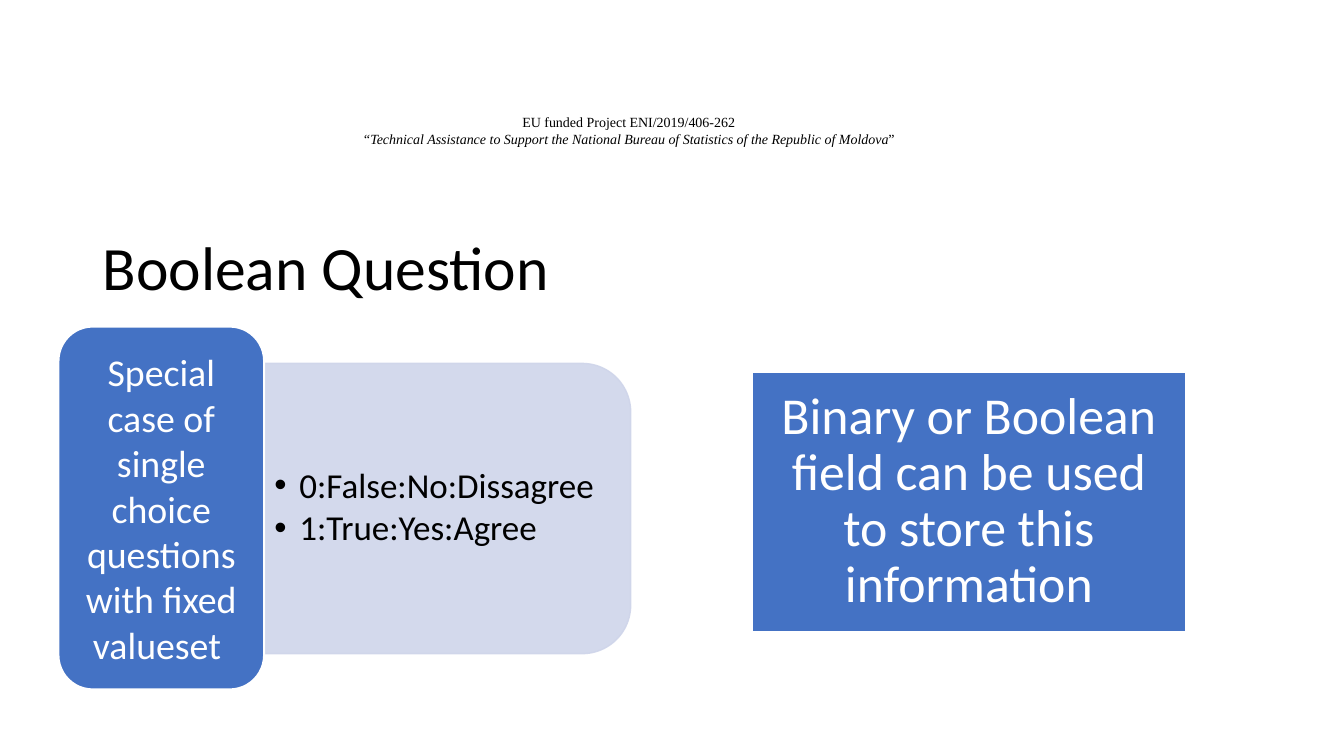
from dataclasses import dataclass

from lxml import etree
from pptx import Presentation
from pptx.dml.color import RGBColor
from pptx.enum.shapes import MSO_SHAPE
from pptx.enum.text import MSO_ANCHOR, MSO_AUTO_SIZE, PP_ALIGN
from pptx.oxml.ns import qn
from pptx.util import Inches, Pt

LEFT, CENTER = PP_ALIGN.LEFT, PP_ALIGN.CENTER
TOP, MIDDLE, BOTTOM = MSO_ANCHOR.TOP, MSO_ANCHOR.MIDDLE, MSO_ANCHOR.BOTTOM
NO_AUTOFIT = MSO_AUTO_SIZE.NONE
ROUNDED, RECTANGLE = MSO_SHAPE.ROUNDED_RECTANGLE, MSO_SHAPE.RECTANGLE
TOP_ROUNDED = MSO_SHAPE.ROUND_2_SAME_RECTANGLE


@dataclass(frozen=True)
class Theme:
    black: RGBColor = RGBColor(0, 0, 0)
    white: RGBColor = RGBColor(255, 255, 255)
    accent: RGBColor = RGBColor(0x44, 0x72, 0xC4)
    pale: RGBColor = RGBColor(0xCF, 0xD5, 0xEA)
    pale_opacity: int = 90
    font: str = "Calibri"
    header_font: str = "Times New Roman"
    header_size: int = 10
    title_size: int = 44
    list_size: int = 25
    case_size: int = 27
    storage_size: int = 37


@dataclass(frozen=True)
class Box:
    left: float
    top: float
    width: float
    height: float

    def lengths(self):
        return [Inches(v) for v in (self.left, self.top, self.width, self.height)]


@dataclass(frozen=True)
class Card:
    text: str
    box: Box
    preset: int
    size: int
    line_width: float
    margins: tuple
    spacing: float


THEME = Theme()
HEADER_BOX = Box(2.9, 1.08, 6.67, 0.44)
TITLE_BOX = Box(0.92, 1.61, 11.5, 1.45)
PANEL_BOX = Box(3, 3.23, 2.88, 3.63)
VALUES_BOX = Box(2.62, 3.74, 3.49, 2.6)
HEADER = [
    [("EU funded Project ENI/2019/406-262", False)],
    [
        ("“Technical Assistance to Support the National Bureau of Statistics "
         "of the Republic of Moldova", True),
        ("”", False),
    ],
]
VALUES = ["0:False:No:Dissagree", "1:True:Yes:Agree"]
CARDS = [
    Card("Special case of single choice questions with fixed valueset ",
         Box(0.58, 3.24, 2.04, 3.6), ROUNDED, THEME.case_size, 1.5, (0.11, 0.06), 1),
    Card("Binary or Boolean field can be used to store this information",
         Box(7.46, 3.69, 4.3, 2.58), RECTANGLE, THEME.storage_size, 1, (0.15, 0.15), 0.9),
]


def place(shape, box: Box) -> None:
    shape.left, shape.top, shape.width, shape.height = box.lengths()


def add_bullet(paragraph, indent: float) -> None:
    properties = paragraph._p.get_or_add_pPr()
    properties.set("marL", str(Inches(indent)))
    properties.set("indent", str(-Inches(indent)))
    etree.SubElement(properties, qn("a:buChar")).set("char", "•")


def write(shape, paragraphs: list, *, size: int, color: RGBColor, font: str = THEME.font,
          align: int = LEFT, anchor: int = MIDDLE, margins: tuple = (0.1, 0.05),
          spacing: float = 1, after: float = 0, bullet_indent: float = 0) -> None:
    frame = shape.text_frame
    frame.auto_size = NO_AUTOFIT
    frame.word_wrap = True
    frame.vertical_anchor = anchor
    frame.margin_left = frame.margin_right = Inches(margins[0])
    frame.margin_top = frame.margin_bottom = Inches(margins[1])
    for index, content in enumerate(paragraphs):
        paragraph = frame.add_paragraph() if index else frame.paragraphs[0]
        if bullet_indent:
            add_bullet(paragraph, bullet_indent)
        paragraph.alignment = align
        paragraph.line_spacing = spacing
        paragraph.space_before = Pt(0)
        paragraph.space_after = Pt(after)
        for text, italic in [(content, False)] if isinstance(content, str) else content:
            run = paragraph.add_run()
            run.text = text
            run.font.name = font
            run.font.size = Pt(size)
            run.font.italic = italic
            run.font.color.rgb = color


def add_block(slide, preset: int, box: Box, fill: RGBColor, line: RGBColor, line_width: float):
    block = slide.shapes.add_shape(preset, *box.lengths())
    block.shadow.inherit = False
    block.fill.solid()
    block.fill.fore_color.rgb = fill
    block.line.color.rgb = line
    block.line.width = Pt(line_width)
    return block


def add_panel(slide) -> None:
    panel = add_block(slide, TOP_ROUNDED, PANEL_BOX, THEME.pale, THEME.pale, 1)
    panel.rotation = 90
    for color in panel.element.spPr.iter(qn("a:srgbClr")):
        etree.SubElement(color, qn("a:alpha")).set("val", str(THEME.pale_opacity * 1000))


def add_card(slide, card: Card) -> None:
    block = add_block(slide, card.preset, card.box, THEME.accent, THEME.white, card.line_width)
    write(block, [card.text], size=card.size, color=THEME.white, align=CENTER,
          margins=card.margins, spacing=card.spacing)


def main() -> None:
    deck = Presentation()
    deck.slide_width, deck.slide_height = Inches(13.33), Inches(7.5)
    slide = deck.slides.add_slide(deck.slide_layouts[1])

    header = slide.shapes.add_textbox(*HEADER_BOX.lengths())
    write(header, HEADER, size=THEME.header_size, color=THEME.black,
          font=THEME.header_font, align=CENTER, anchor=TOP)

    title = slide.shapes.title
    place(title, TITLE_BOX)
    write(title, ["Boolean Question"], size=THEME.title_size, color=THEME.black,
          anchor=BOTTOM, spacing=0.9)

    add_panel(slide)
    values = slide.placeholders[1]
    place(values, VALUES_BOX)
    write(values, VALUES, size=THEME.list_size, color=THEME.black, spacing=0.9,
          after=3.5, bullet_indent=0.25)
    slide.shapes.element.append(values.element)

    for card in CARDS:
        add_card(slide, card)
    deck.save("out.pptx")


if __name__ == "__main__":
    main()
